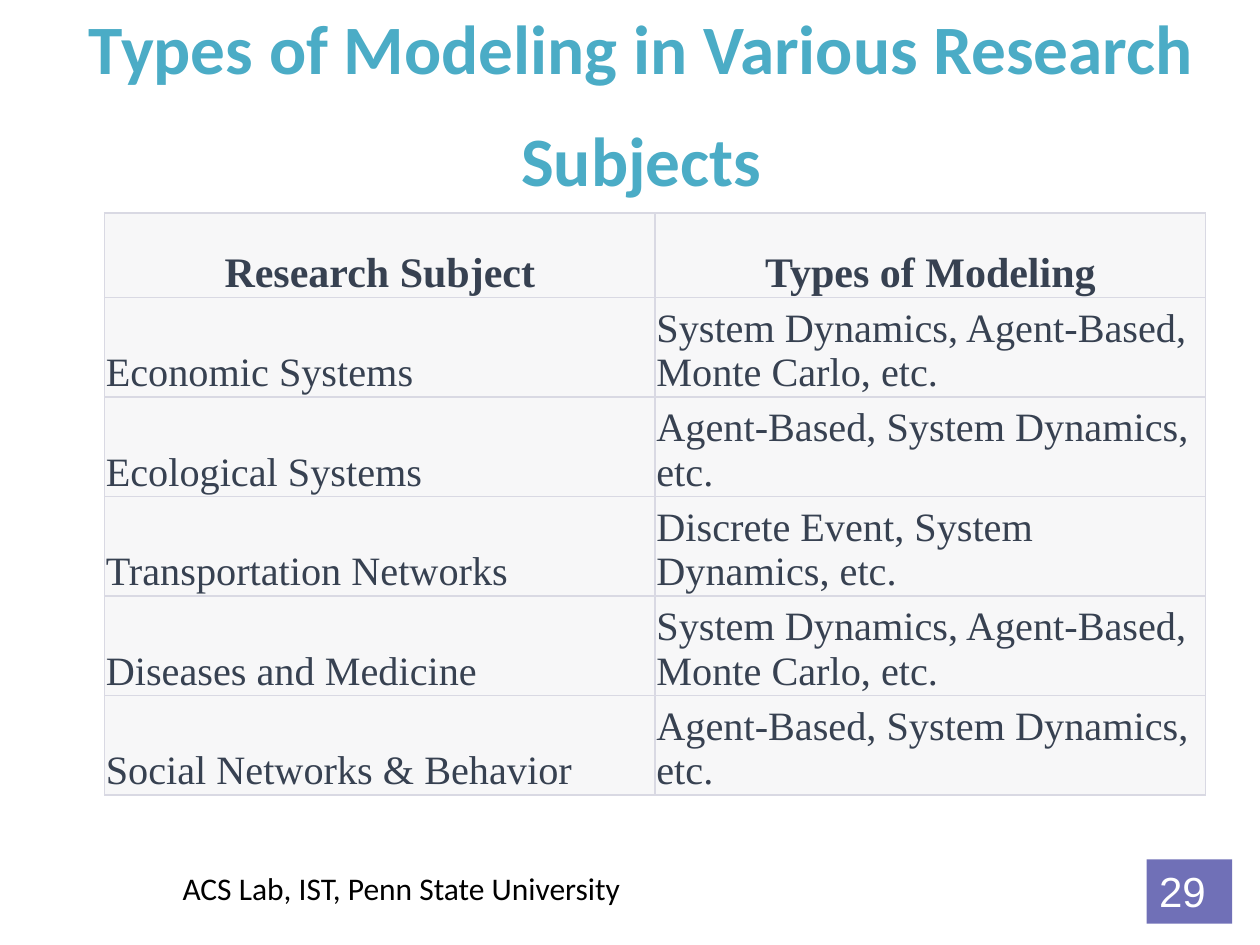
from lxml import etree
from pptx import Presentation
from pptx.dml.color import RGBColor
from pptx.enum.shapes import MSO_SHAPE
from pptx.enum.text import MSO_ANCHOR, PP_ALIGN
from pptx.oxml.ns import qn
from pptx.util import Inches, Pt

RECT = MSO_SHAPE.RECTANGLE
LEFT, CENTER = PP_ALIGN.LEFT, PP_ALIGN.CENTER
TOP, MIDDLE, BOTTOM = MSO_ANCHOR.TOP, MSO_ANCHOR.MIDDLE, MSO_ANCHOR.BOTTOM

COLORS = {
    "title": "4BACC6",
    "badge": "000080",
    "white": "FFFFFF",
    "black": "000000",
    "cell": "F7F7F8",
    "cell_text": "374151",
    "border": "D9D9E3",
}

ROWS = [
    ("Research Subject", "Types of Modeling"),
    ("Economic Systems", "System Dynamics, Agent-Based, Monte Carlo, etc."),
    ("Ecological Systems", "Agent-Based, System Dynamics, etc."),
    ("Transportation Networks", "Discrete Event, System Dynamics, etc."),
    ("Diseases and Medicine", "System Dynamics, Agent-Based, Monte Carlo, etc."),
    ("Social Networks & Behavior", "Agent-Based, System Dynamics, etc."),
]


def rgb(name):
    return RGBColor.from_string(COLORS[name])


def set_text(tf, text, size, font, color, bold=False, align=LEFT, spacing=None):
    p = tf.paragraphs[0]
    p.alignment = align
    if spacing:
        p.line_spacing = spacing
    r = p.add_run()
    r.text = text
    r.font.size = Pt(size)
    r.font.name = font
    r.font.bold = bold
    r.font.color.rgb = rgb(color)


def add_text(slide, box, text, wrap=True, anchor=TOP, **fmt):
    tf = slide.shapes.add_textbox(*map(Inches, box)).text_frame
    tf.word_wrap = wrap
    tf.vertical_anchor = anchor
    set_text(tf, text, **fmt)


def add_badge(slide, box, text, alpha, **fmt):
    sp = slide.shapes.add_shape(RECT, *map(Inches, box))
    sp.shadow.inherit = False
    sp.fill.solid()
    sp.fill.fore_color.rgb = rgb("badge")
    sp.line.fill.background()
    # Fill opacity
    clr = sp.fill._xPr.find(qn("a:solidFill"))[0]
    etree.SubElement(clr, qn("a:alpha"), val=str(alpha * 1000))
    sp.text_frame.vertical_anchor = TOP
    set_text(sp.text_frame, text, **fmt)


def set_borders(cell, color, width):
    tc_pr = cell._tc.get_or_add_tcPr()
    for i, side in enumerate(("lnL", "lnR", "lnT", "lnB")):
        ln = etree.Element(qn(f"a:{side}"), w=str(Pt(width)))
        fill = etree.SubElement(ln, qn("a:solidFill"))
        etree.SubElement(fill, qn("a:srgbClr"), val=COLORS[color])
        tc_pr.insert(i, ln)


def add_grid(slide, left, top, col_width, header_height, row_height):
    n_rows, n_cols = len(ROWS), len(ROWS[0])
    height = header_height + row_height * (n_rows - 1)
    table = slide.shapes.add_table(
        n_rows, n_cols, Inches(left), Inches(top),
        Inches(col_width * n_cols), Inches(height)).table
    for col in table.columns:
        col.width = Inches(col_width)
    for i, row in enumerate(ROWS):
        header = i == 0
        table.rows[i].height = Inches(header_height if header else row_height)
        for j, text in enumerate(row):
            cell = table.cell(i, j)
            cell.margin_left = cell.margin_right = Inches(0.01)
            cell.margin_top = cell.margin_bottom = Inches(0.01)
            cell.vertical_anchor = BOTTOM
            cell.fill.solid()
            cell.fill.fore_color.rgb = rgb("cell")
            set_borders(cell, "border", 1)
            set_text(cell.text_frame, text, size=24 if header else 23,
                     font="Times New Roman", color="cell_text", bold=header,
                     align=CENTER if header else LEFT)


def main():
    prs = Presentation()
    prs.slide_width, prs.slide_height = Inches(10), Inches(7.5)
    slide = prs.slides.add_slide(prs.slide_layouts[6])

    # Title
    add_text(slide, (0.43, 0.47, 9.32, 0.47),
             "Types of Modeling in Various Research Subjects", anchor=MIDDLE,
             size=39.6, font="Calibri", color="title", bold=True,
             align=CENTER, spacing=1.34)

    # Page number and footer
    add_badge(slide, (9.1, 6.82, 0.68, 0.51), "29", alpha=56,
              size=24, font="Arial", color="white")
    add_text(slide, (1.35, 6.85, 3.71, 0.4),
             "ACS Lab, IST, Penn State University", wrap=False,
             size=18, font="Calibri", color="black")

    # Table of subjects and modeling types
    add_grid(slide, 0.83, 1.69, col_width=4.37,
             header_height=0.67, row_height=0.79)

    prs.save("out.pptx")


if __name__ == "__main__":
    main()
